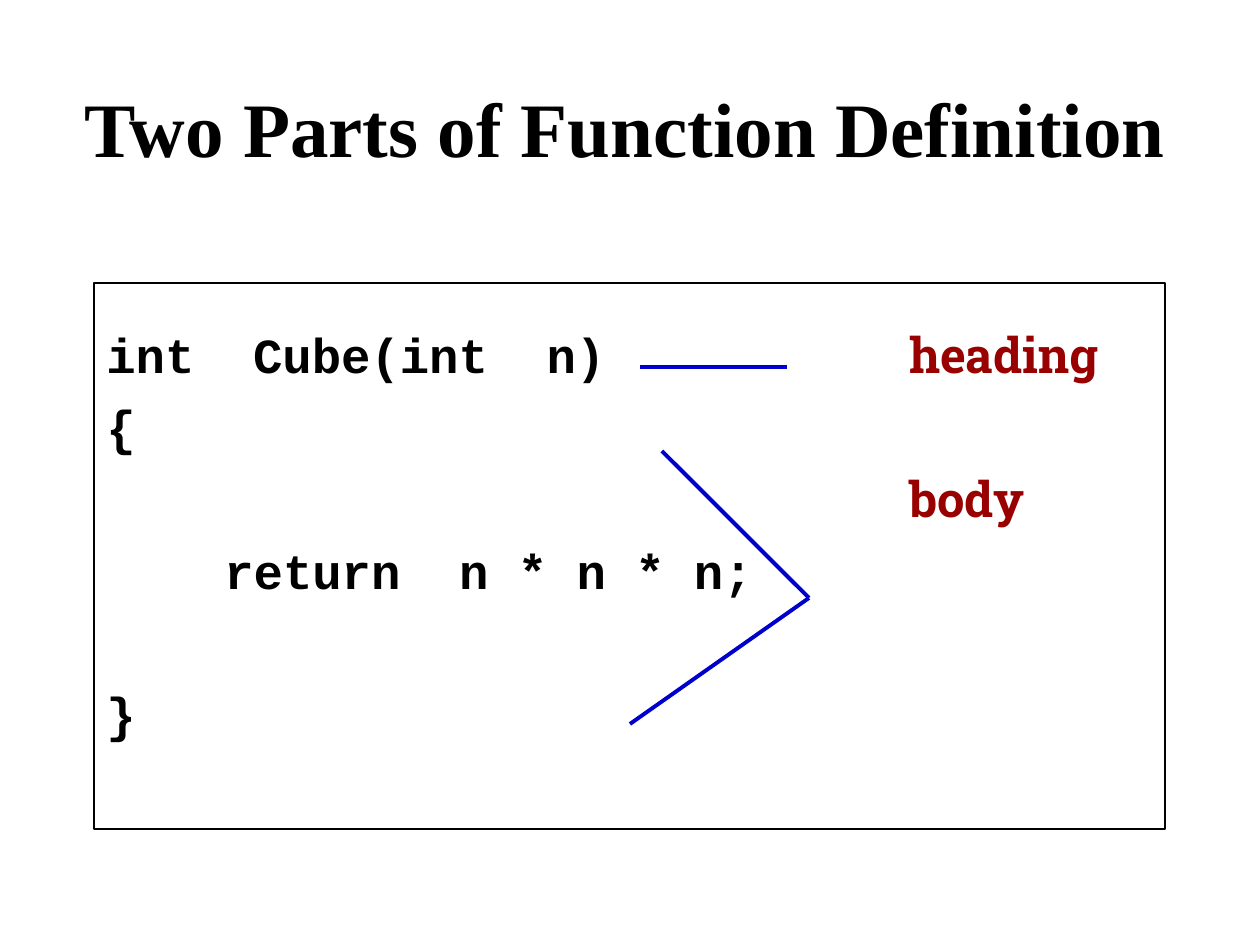
from lxml.etree import SubElement
from pptx import Presentation
from pptx.dml.color import RGBColor
from pptx.enum.shapes import MSO_CONNECTOR as Conn, MSO_SHAPE as Shape
from pptx.enum.text import MSO_ANCHOR as Anchor, PP_ALIGN as Align
from pptx.oxml.ns import qn
from pptx.util import Pt

PX = 914400 // 126
BLACK = RGBColor(0, 0, 0)
WHITE = RGBColor(255, 255, 255)
RED = RGBColor(0x99, 0, 0)
BLUE = RGBColor(0, 0, 0xCC)


def style(font, name, size, color):
    font.name, font.size, font.bold = name, Pt(size), True
    font.color.rgb = color


def place(*nums):
    return [n * PX for n in nums]


deck = Presentation()
deck.slide_width, deck.slide_height = place(1260, 945)
slide = deck.slides.add_slide(deck.slide_layouts[5])
shapes = slide.shapes

# Title
title = shapes.title
title.left, title.top, title.width, title.height = place(0, 21, 1250, 158)
frame = title.text_frame
frame.text = "Two Parts of Function Definition"
frame.vertical_anchor = Anchor.BOTTOM
frame.paragraphs[0].alignment = Align.CENTER
style(frame.paragraphs[0].font, "Times New Roman", 44, BLACK)

# Frame around the code
box = shapes.add_shape(Shape.RECTANGLE, *place(94, 283, 1071, 546))
box.shadow.inherit = False
box.fill.solid()
box.fill.fore_color.rgb = WHITE
box.line.color.rgb = BLACK
box.line.width = Pt(1)

# Code with labels: text, label, left margin in px, empty lines above
rows = [
    ("int  Cube(int  n)", "heading", 0, 0),
    ("{", "", 0, 0),
    ("", "body", 0, 0),
    ("return  n * n * n;", "", 118, 0),
    ("}", "", 0, 1),
]
PITCH = 41
code = shapes.add_textbox(*place(94, 242, 1071, 567)).text_frame
code.word_wrap = True
code.margin_top = 70 * PX
for i, (text, label, left, gap) in enumerate(rows):
    para = code.paragraphs[0] if i == 0 else code.add_paragraph()
    props = para._p.get_or_add_pPr()
    props.set("marL", str(left * PX))
    if label:
        tabs = SubElement(props, qn("a:tabLst"))
        SubElement(tabs, qn("a:tab"), pos=str(803 * PX), algn="l")
    para.line_spacing = Pt(PITCH)
    para.space_before = Pt(gap * PITCH)
    style(para.font, "Courier New", 28, BLACK)
    para.add_run().text = text + ("\t" if label else "")
    if label:
        run = para.add_run()
        run.text = label
        style(run.font, "Roboto Slab", 28, RED)

# Lines from the code to its labels
for ends in [(787, 367, 640, 367), (662, 451, 809, 598), (809, 598, 630, 724)]:
    line = shapes.add_connector(Conn.STRAIGHT, *place(*ends))
    line.line.color.rgb = BLUE
    line.line.width = Pt(2.25)
    SubElement(line._element.spPr, qn("a:effectLst"))

deck.save("out.pptx")
